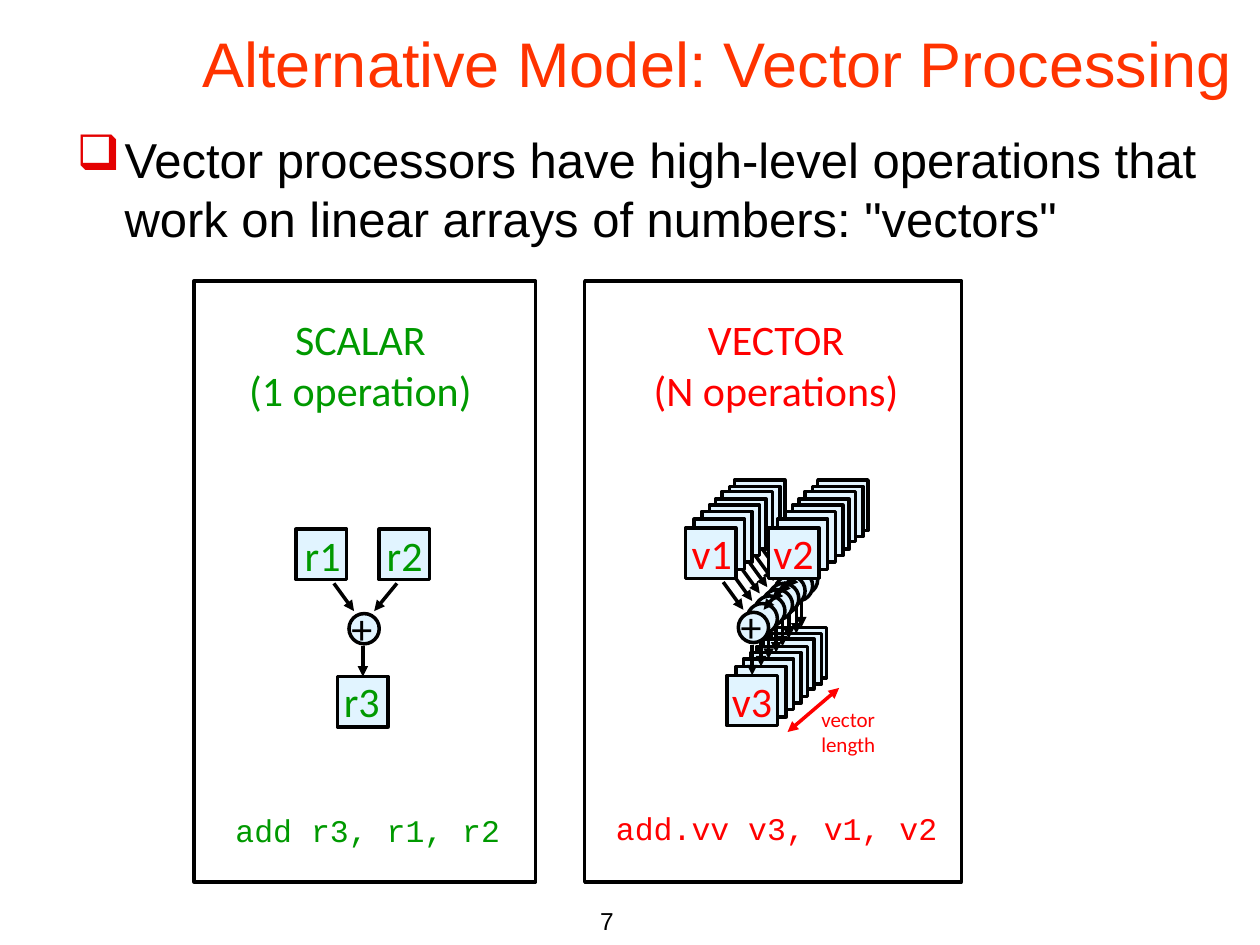
from typing import NamedTuple

from lxml.etree import SubElement
from pptx import Presentation
from pptx.dml.color import RGBColor
from pptx.enum.shapes import MSO_CONNECTOR as Connector
from pptx.enum.shapes import MSO_SHAPE as Shape
from pptx.enum.text import MSO_ANCHOR as Anchor
from pptx.enum.text import PP_ALIGN as Align
from pptx.oxml.ns import qn
from pptx.util import Inches, Pt

BLACK, GREEN, RED = "000000", "009900", "FF0000"
ORANGE, BULLET_RED, PALE_BLUE = "FF3300", "E40000", "E1F4FF"
REGISTER_SIZE, ADDER_SIZE = 0.4, 0.24


class Point(NamedTuple):
    x: float
    y: float

    def shift(self, dx: float, dy: float) -> "Point":
        return Point(self.x + dx, self.y + dy)


class Box(NamedTuple):
    left: float
    top: float
    width: float
    height: float

    def lengths(self) -> list:
        return [Inches(value) for value in self]


class Style(NamedTuple):
    font: str
    size: float
    color: str
    align: Align = Align.LEFT


class Label(NamedTuple):
    text: str
    dx: float
    dy: float


class Panel(NamedTuple):
    frame: Box
    heading: list[str]
    heading_box: Box
    code: str
    code_box: Box
    color: str
    layers: list[Point]  # corner of each first register, back to front
    labels: list[Label]  # placed from the front layer's corner
    label_width: float


# Offsets within one adder, from the corner of its first register
REGISTERS = [(0, 0), (0.66, 0), (0.33, 1.17)]
ADDER = (0.42, 0.67)
INPUT_ARROWS = [((0.8, 0.43), (0.62, 0.65)), ((0.3, 0.43), (0.46, 0.65))]
OUTPUT_START = (0.53, 0.93)

PANELS = [
    Panel(
        Box(1.54, 2.23, 2.71, 4.77),
        ["SCALAR", "(1 operation)"], Box(1.87, 2.44, 1.98, 0.91),
        "add r3, r1, r2", Box(1.77, 6.39, 2.31, 0.4),
        GREEN, [Point(2.35, 4.2)],
        [Label("r1", -0.03, -0.05), Label("r2", 0.62, -0.05), Label("r3", 0.28, 1.11)],
        0.49,
    ),
    Panel(
        Box(4.64, 2.23, 2.99, 4.77),
        ["VECTOR", "(N operations)"], Box(5.08, 2.44, 2.16, 0.91),
        "add.vv v3, v1, v2", Box(4.79, 6.37, 2.76, 0.4),
        RED,
        [Point(5.83, 3.81), Point(5.79, 3.86), Point(5.73, 3.9), Point(5.68, 3.96),
         Point(5.63, 4.01), Point(5.57, 4.06), Point(5.51, 4.12), Point(5.44, 4.19)],
        [Label("v1", -0.05, -0.05), Label("v2", 0.6, -0.05), Label("v3", 0.27, 1.12)],
        0.52,
    ),
]


def rgb(color: str) -> RGBColor:
    return RGBColor.from_string(color)


def add_text(slide, box: Box, lines: list[str], style: Style, wrap: bool = False):
    frame = slide.shapes.add_textbox(*box.lengths()).text_frame
    frame.word_wrap = wrap
    frame.text = "\n".join(lines)
    for paragraph in frame.paragraphs:
        paragraph.alignment = style.align
        paragraph.font.name = style.font
        paragraph.font.size = Pt(style.size)
        paragraph.font.color.rgb = rgb(style.color)
    return frame


def add_outlined(slide, kind: Shape, box: Box, fill: str | None = None):
    shape = slide.shapes.add_shape(kind, *box.lengths())
    shape.shadow.inherit = False
    if fill:
        shape.fill.solid()
        shape.fill.fore_color.rgb = rgb(fill)
    else:
        shape.fill.background()
    shape.line.color.rgb = rgb(BLACK)
    shape.line.width = Pt(2)
    return shape


def add_arrow(slide, start: Point, end: Point, color: str = BLACK, both_ends: bool = False):
    arrow = slide.shapes.add_connector(
        Connector.STRAIGHT, *(Inches(value) for value in (*start, *end)))
    arrow.line.color.rgb = rgb(color)
    arrow.line.width = Pt(2)
    line = arrow.line._get_or_add_ln()
    for tag in ["a:headEnd", "a:tailEnd"] if both_ends else ["a:tailEnd"]:
        SubElement(line, qn(tag), type="triangle")
    SubElement(arrow._element.spPr, qn("a:effectLst"))
    return arrow


def add_adder(slide, corner: Point, input_arrows: list) -> None:
    add_outlined(slide, Shape.OVAL,
                 Box(*corner.shift(*ADDER), ADDER_SIZE, ADDER_SIZE), PALE_BLUE)
    for offset in REGISTERS:
        register = add_outlined(
            slide, Shape.RECTANGLE,
            Box(*corner.shift(*offset), REGISTER_SIZE, REGISTER_SIZE), PALE_BLUE)
    for start, end in input_arrows:
        add_arrow(slide, corner.shift(*start), corner.shift(*end))
    # The last register holds the result
    output = corner.shift(*OUTPUT_START)
    add_arrow(slide, output, output.shift(0, 0.22)).end_connect(register, 0)


def add_panel(slide, panel: Panel) -> None:
    add_outlined(slide, Shape.RECTANGLE, panel.frame)
    add_text(slide, panel.heading_box, panel.heading,
             Style("Calibri", 24, panel.color, Align.CENTER))
    front = panel.layers[-1]
    for index, corner in enumerate(panel.layers):
        # The rearmost layer of a stack shows only its right-hand input
        rearmost = index == 0 and corner != front
        add_adder(slide, corner, INPUT_ARROWS[:1] if rearmost else INPUT_ARROWS)
    for label in panel.labels:
        add_text(slide, Box(*front.shift(label.dx, label.dy), panel.label_width, 0.5),
                 [label.text], Style("Calibri", 24, panel.color))
    add_text(slide, Box(*front.shift(0.34, 0.53), 0.37, 0.5), ["+"],
             Style("Calibri", 24, BLACK))
    add_text(slide, panel.code_box, [panel.code], Style("Courier New", 18, panel.color))


def add_bullet(paragraph, mark: str, color: str, indent: float) -> None:
    properties = paragraph._p.get_or_add_pPr()
    properties.set("marL", str(Inches(indent)))
    properties.set("indent", str(-Inches(indent)))
    bullet_color = SubElement(properties, qn("a:buClr"))
    SubElement(bullet_color, qn("a:srgbClr"), val=color)
    SubElement(properties, qn("a:buChar"), char=mark)
    # Default run properties must follow the bullet
    properties.append(properties.find(qn("a:defRPr")))


def main() -> None:
    deck = Presentation()
    deck.slide_width, deck.slide_height = Inches(10), Inches(7.5)
    slide = deck.slides.add_slide(deck.slide_layouts[6])

    # Title, statement and page number
    title = add_text(slide, Box(1.51, 0.07, 8.54, 0.85),
                     ["Alternative Model: Vector Processing"],
                     Style("Arial", 36, ORANGE), wrap=True)
    title.vertical_anchor = Anchor.MIDDLE
    statement = add_text(
        slide, Box(0.51, 0.98, 9.38, 0.83),
        ["Vector processors have high-level operations that work on linear arrays "
         'of numbers: "vectors"'],
        Style("Arial", 28, BLACK), wrap=True)
    add_bullet(statement.paragraphs[0], "❑", BULLET_RED, 0.38)
    add_text(slide, Box(2.89, 7.14, 2.08, 0.5), ["7"],
             Style("Arial", 14, BLACK, Align.RIGHT), wrap=True)

    # Scalar and vector panels
    for panel in PANELS:
        add_panel(slide, panel)

    # Vector length marker
    add_arrow(slide, Point(6.66, 5.46), Point(6.25, 5.81), RED, both_ends=True)
    add_text(slide, Box(6.42, 5.56, 0.7, 0.5), ["vector", "length"],
             Style("Calibri", 12, RED), wrap=True)

    deck.save("out.pptx")


if __name__ == "__main__":
    main()
